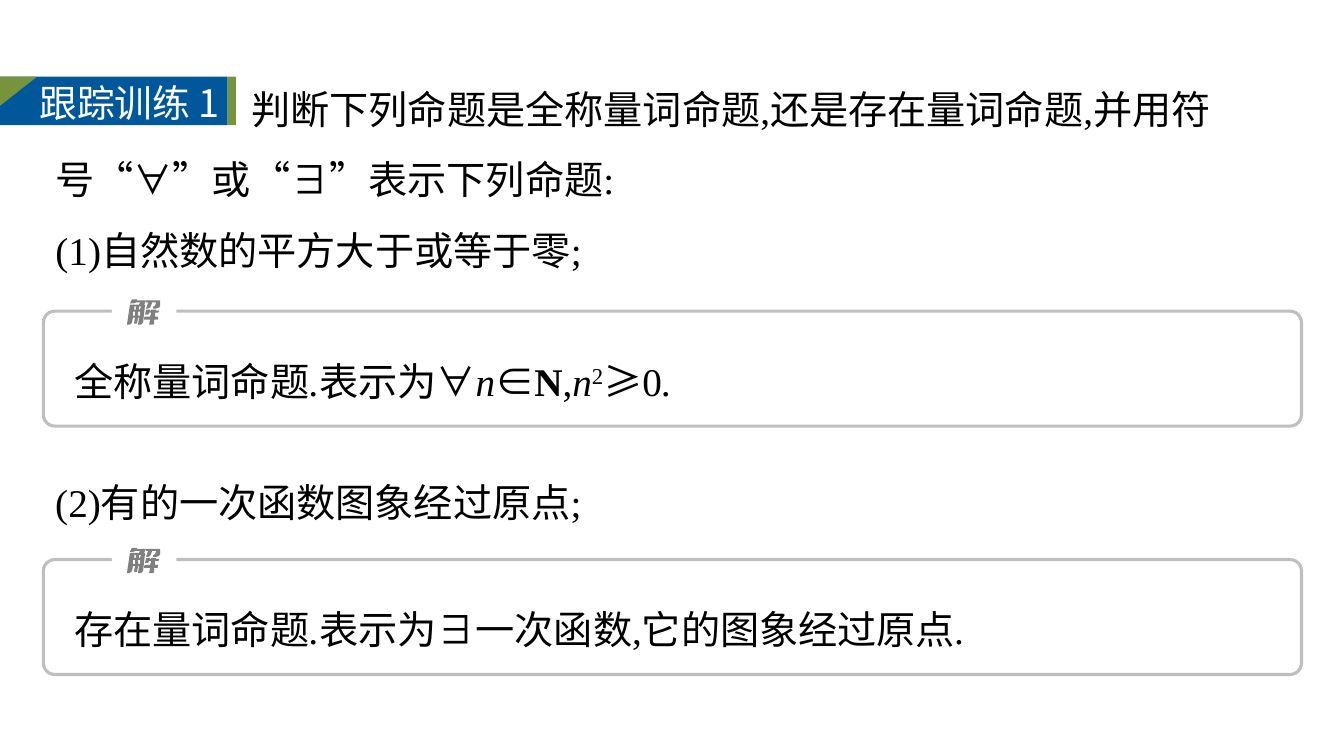
from dataclasses import dataclass

from pptx import Presentation
from pptx.dml.color import RGBColor
from pptx.enum.shapes import MSO_SHAPE
from pptx.enum.text import MSO_ANCHOR, MSO_AUTO_SIZE, PP_ALIGN
from pptx.oxml.ns import qn
from pptx.util import Pt

RECT = MSO_SHAPE.RECTANGLE
ROUND = MSO_SHAPE.ROUNDED_RECTANGLE
WEDGE = MSO_SHAPE.RIGHT_TRIANGLE
TOP = MSO_ANCHOR.TOP
GROW = MSO_AUTO_SIZE.SHAPE_TO_FIT_TEXT
LEFT = PP_ALIGN.LEFT


@dataclass(frozen=True)
class Theme:
    ink: str = "000000"
    paper: str = "FFFFFF"
    blue: str = "00589A"
    green: str = "77933C"
    rule: str = "BFBFBF"
    mark: str = "808080"
    text: int = 28
    badge: int = 27
    latin: str = "Times New Roman"
    math: str = "Cambria"
    han: str = "Noto Sans CJK SC"


THEME = Theme()
MATH = {"face": THEME.math}
HAN = {"face": THEME.han}
SLANT = {"italic": True}

# Contours of the sign 解, in hundredths of an inch
SIGN = [
    [(11, 12), (11, 16), (13, 16), (13, 12)],
    [(6, 12), (6, 16), (8, 16), (8, 12)],
    [(25, 10), (29, 10), (29, 11), (32, 11), (32, 12), (31, 13), (28, 13),
     (28, 17), (31, 17), (31, 19), (30, 20), (27, 20), (27, 24), (26, 25),
     (22, 25), (23, 20), (17, 20), (17, 18), (18, 17), (23, 17), (24, 13),
     (22, 13), (21, 15), (18, 15), (19, 10), (23, 10), (23, 11), (24, 11),
     (24, 10)],
    [(12, 7), (12, 10), (13, 10), (14, 7)],
    [(20, 1), (33, 1), (33, 6), (32, 8), (29, 9), (26, 9), (26, 7), (27, 7),
     (28, 6), (29, 3), (25, 3), (24, 6), (23, 8), (21, 9), (19, 9), (21, 3),
     (19, 3), (19, 1)],
    [(5, 0), (10, 0), (10, 1), (19, 1), (17, 5), (18, 5), (16, 23), (15, 24),
     (14, 25), (11, 25), (12, 18), (11, 18), (10, 24), (7, 24), (8, 18),
     (6, 18), (5, 23), (4, 24), (3, 25), (0, 25), (3, 5), (8, 5), (7, 10),
     (9, 10), (9, 7), (8, 7), (8, 5), (12, 5), (13, 3), (9, 3), (6, 4),
     (3, 4)],
]

TASK = [
    ["判断下列命题是全称量词命题,还是存在量词命题,并用符号", ("“", HAN),
     ("∀", MATH), ("”", HAN), "或", ("“", HAN), ("∃", MATH), ("”", HAN),
     "表示下列命题:"],
    ["(1)自然数的平方大于或等于零;"],
]
PART = [["(2)有的一次函数图象经过原点;"]]
REPLIES = [
    ["全称量词命题", (".", SLANT), "表示为", ("∀", MATH), ("n", SLANT),
     ("∈", HAN), ("N", {"bold": True}), ",", ("n", SLANT),
     ("2", {"raised": True}), ("≥", HAN), "0", (".", SLANT)],
    ["存在量词命题", (".", SLANT), "表示为", ("∃", MATH),
     "一次函数,它的图象经过原点", (".", SLANT)],
]


def tint(name):
    return RGBColor.from_string(name)


def place(shape, *box):
    shape.left, shape.top, shape.width, shape.height = map(Pt, box)


def style(run, face=THEME.latin, size=THEME.text, color=THEME.ink,
          bold=False, italic=False, raised=False):
    font = run.font
    font.name, font.size = face, Pt(size)
    font.bold, font.italic = bold, italic
    font.color.rgb = tint(color)
    props = run._r.get_or_add_rPr()
    east = props.makeelement(qn("a:ea"), {"typeface": THEME.han})
    props.find(qn("a:latin")).addnext(east)
    if raised:
        props.set("baseline", "30000")


def write(shape, lines, spacing=1.5, indent=0, **look):
    """Fill a shape with lines of runs; a run is text or (text, format)."""
    frame = shape.text_frame
    frame.word_wrap = True
    frame.auto_size = GROW
    frame.vertical_anchor = TOP
    for i, line in enumerate(lines):
        para = frame.add_paragraph() if i else frame.paragraphs[0]
        props = para._p.get_or_add_pPr()
        props.set("marL", "0")
        props.set("indent", str(0 if i else Pt(indent)))
        props.append(props.makeelement(qn("a:buNone"), {}))
        para.alignment = LEFT
        para.line_spacing = spacing
        para.space_before = para.space_after = Pt(0)
        for part in line:
            words, extra = (part, {}) if isinstance(part, str) else part
            run = para.add_run()
            run.text = words
            style(run, **{**look, **extra})


def note(slide, lines, *box):
    write(slide.shapes.add_textbox(*map(Pt, box)), lines)


def block(shapes, kind, box, fill=None):
    shape = shapes.add_shape(kind, *map(Pt, box))
    shape.shadow.inherit = False
    shape.line.fill.background()
    if fill:
        shape.fill.solid()
        shape.fill.fore_color.rgb = tint(fill)
    else:
        shape.fill.background()
    return shape


def sign(shapes, left, top):
    pen = shapes.build_freeform(*SIGN[0][0], scale=Pt(0.72))
    for i, ring in enumerate(SIGN):
        if i:
            pen.move_to(*ring[0])
        pen.add_line_segments(ring[1:], close=True)
    shape = pen.convert_to_shape(Pt(left), Pt(top))
    shape.shadow.inherit = False
    shape.fill.solid()
    shape.fill.fore_color.rgb = tint(THEME.mark)
    shape.line.fill.background()


def reply(slide, line, top):
    """Draw an answer in a round frame whose top edge holds the sign."""
    note(slide, [line], 46.1, top + 12.5, 868.3, 52.6)
    group = slide.shapes.add_group_shape().shapes
    frame = block(group, ROUND, (31, top, 898.6, 82.1))
    frame.adjustments[0] = 0.099
    frame.line.color.rgb = tint(THEME.rule)
    frame.line.width = Pt(2.25)
    block(group, RECT, (79.9, top - 9, 46.1, 17.3), THEME.paper)
    sign(group, 90.7, top - 8.4)


def badge(slide):
    group = slide.shapes.add_group_shape().shapes
    block(group, RECT, (0, 54.7, 162.7, 34.6), THEME.blue)
    wedge = block(group, WEDGE, (0, 54.7, 26.6, 20.9), THEME.green)
    wedge._element.spPr.xfrm.set("flipV", "1")
    block(group, RECT, (162.7, 54.7, 5.8, 34.6), THEME.green)
    title = slide.shapes.title
    place(title, 20.9, 53.3, 153.4, 37.4)
    write(title, [["跟踪训练 1"]], spacing=1.0, face=THEME.han,
          size=THEME.badge, color=THEME.paper)
    slide.shapes._spTree.append(title._element)


def main():
    deck = Presentation()
    deck.slide_width, deck.slide_height = Pt(960), Pt(540)
    slide = deck.slides.add_slide(deck.slide_layouts[1])
    task = slide.placeholders[1]
    place(task, 32.4, 40.3, 892.8, 154.8)
    write(task, TASK, indent=5 * THEME.text)
    badge(slide)
    note(slide, PART, 32.4, 321.1, 892.8, 52.6)
    for i, line in enumerate(REPLIES):
        reply(slide, line, 222.3 + 177.4 * i)
    deck.save("out.pptx")


if __name__ == "__main__":
    main()
